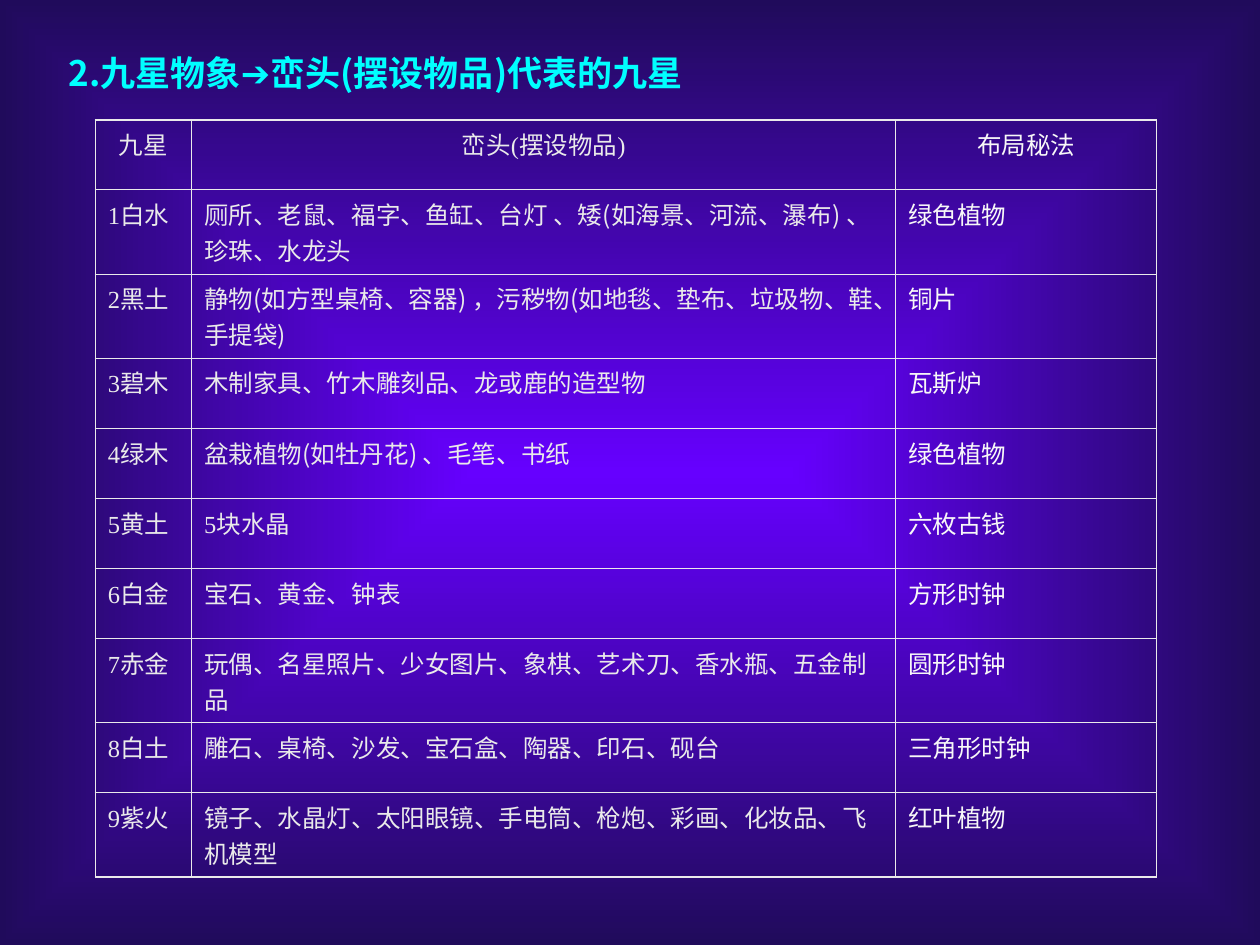
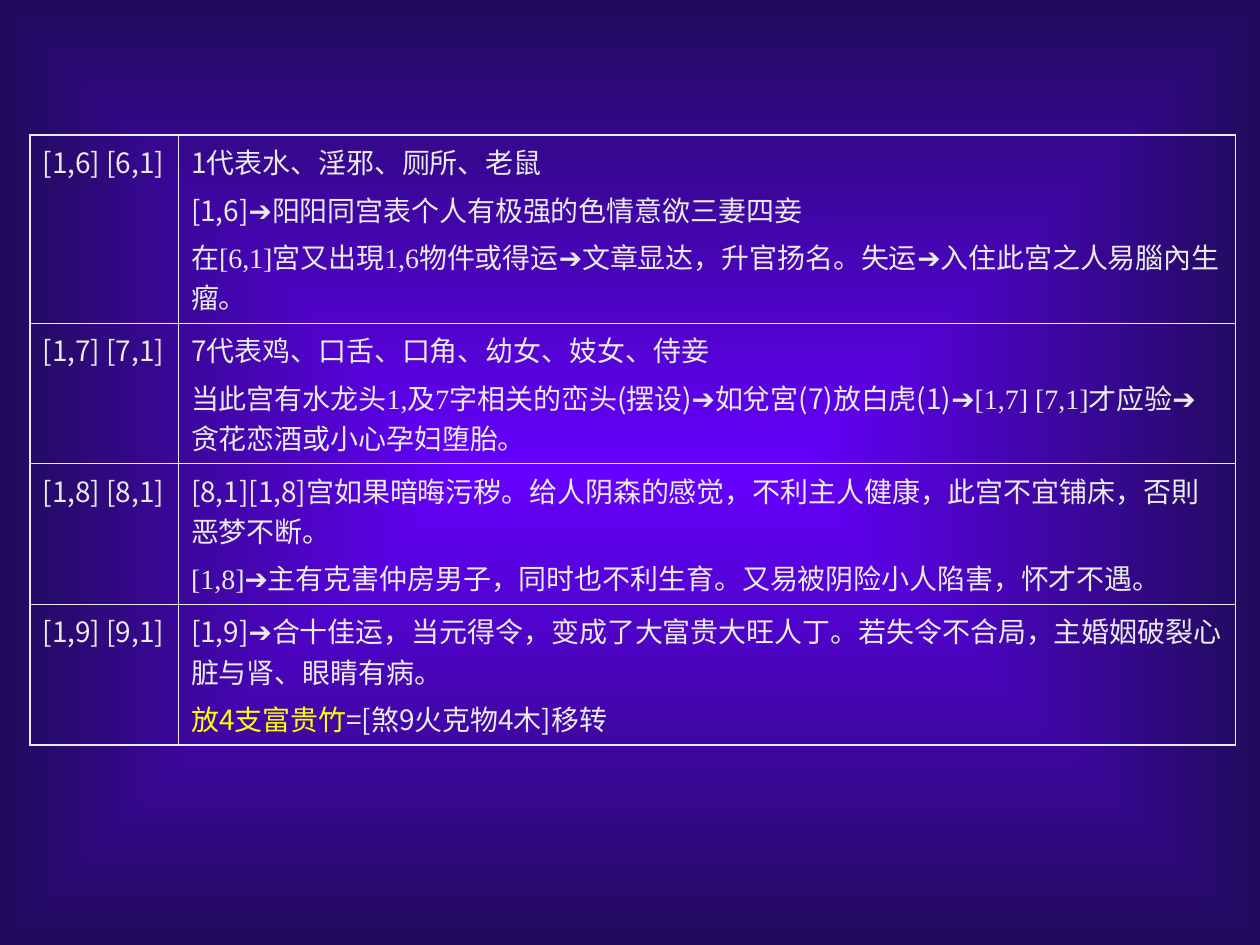
from dataclasses import dataclass

from lxml.etree import SubElement
from pptx import Presentation
from pptx.dml.color import RGBColor
from pptx.enum.text import MSO_ANCHOR, MSO_AUTO_SIZE, PP_ALIGN
from pptx.oxml import parse_xml
from pptx.oxml.ns import nsdecls, qn
from pptx.util import Pt


@dataclass(frozen=True)
class Theme:
    """Colours, fonts, type sizes and line widths of the deck."""
    glow: str = "6600FF"
    edge: str = "200B5B"
    text: str = "EAEAEA"
    bright: str = "F8F8F8"
    title: str = "00FFFF"
    accent: str = "FFFF00"
    sans: str = "Noto Sans CJK SC"
    serif: str = "Times New Roman"
    symbol: str = "Arial"
    title_size: float = 20
    star_size: float = 14
    pair_size: float = 16
    outer_line: float = 1.08
    inner_line: float = 0.45


@dataclass(frozen=True)
class Style:
    """Font, colour and weight of a run."""
    font: str
    color: str
    bold: bool = False


T = Theme()
SANS = Style(T.sans, T.text)
SERIF = Style(T.serif, T.text)
BRIGHT = Style(T.serif, T.bright)
ACCENT = Style(T.sans, T.accent)
TITLE = Style(T.sans, T.title, True)
ARROW = (Style(T.symbol, T.text), "➔")
COMMA = (SERIF, "、")

TITLE_RUNS = [
    (TITLE, "2.九星物象"),
    (Style(T.symbol, T.title, True), "➔"),
    (TITLE, "峦头(摆设物品)代表的九星"),
]

STAR_HEADER = ("九星", SERIF, "峦头(摆设物品)", "布局秘法")
STARS = [
    ("1白水", SANS, "厕所、老鼠、福字、鱼缸、台灯 、矮(如海景、河流、瀑布) 、珍珠、水龙头", "绿色植物"),
    ("2黑土", SANS, "静物(如方型桌椅、容器) ，污秽物(如地毯、垫布、垃圾物、鞋、手提袋)", "铜片"),
    ("3碧木", SERIF, "木制家具、竹木雕刻品、龙或鹿的造型物", "瓦斯炉"),
    ("4绿木", SANS, "盆栽植物(如牡丹花) 、毛笔、书纸", "绿色植物"),
    ("5黄土", SERIF, "5块水晶", "六枚古钱"),
    ("6白金", SERIF, "宝石、黄金、钟表", "方形时钟"),
    ("7赤金", SERIF, "玩偶、名星照片、少女图片、象棋、艺术刀、香水瓶、五金制品", "圆形时钟"),
    ("8白土", SERIF, "雕石、桌椅、沙发、宝石盒、陶器、印石、砚台", "三角形时钟"),
    ("9紫火", SERIF, "镜子、水晶灯、太阳眼镜、手电筒、枪炮、彩画、化妆品、飞机模型", "红叶植物"),
]

PAIRS = [
    ("[1,6] [6,1]", [
        [(SANS, "1代表水"), COMMA, (SANS, "淫邪"), (SERIF, "、厕所、老鼠")],
        [(SANS, "[1,6]"), ARROW, (SANS, "阳阳同宫表个人有极强的色情意欲三妻四妾")],
        [(SERIF, "在[6,1]宮又出現1,6物件或得运"), ARROW,
         (SERIF, "文章显达，升官扬名。失运"), ARROW,
         (SERIF, "入住此宮之人易腦內生瘤。")],
    ]),
    ("[1,7] [7,1]", [
        [(SANS, "7代表鸡"), COMMA, (SANS, "口舌"), COMMA, (SANS, "口角"), COMMA,
         (SANS, "幼女"), COMMA, (SANS, "妓女"), COMMA, (SANS, "侍妾")],
        [(SERIF, "当此宫有水龙头1,及7字相关的"), (SANS, "峦头(摆设)"), ARROW,
         (SANS, "如兌宮(7)放白虎(1)"), ARROW, (SERIF, "[1,7] [7,1]才应验"), ARROW,
         (SERIF, "贪花恋酒或小心孕妇堕胎。")],
    ]),
    ("[1,8] [8,1]", [
        [(SANS, "[8,1][1,8]宫如果暗晦污秽。给人阴森的感觉，不利主人健康，"
                "此宫不宜铺床，否則恶梦不断。")],
        [(SERIF, "[1,8]"), ARROW,
         (SERIF, "主有克害仲房男子，同时也不利生育。又易被阴险小人陷害，怀才不遇。")],
    ]),
    ("[1,9] [9,1]", [
        [(SANS, "[1,9]"), ARROW,
         (SANS, "合十佳运，当元得令，变成了大富贵大旺人丁。若失令不合局，"
                "主婚姻破裂心脏与肾、眼睛有病。")],
        [(ACCENT, "放4支富贵竹"), (SANS, "=[煞9火克物4木]移转")],
    ]),
]


def set_background(master):
    """Give the master a rectangular glow that all slides inherit."""
    master.background.fill.background()
    old = master.element.find(".//" + qn("p:bgPr"))[0]
    old.getparent().replace(old, parse_xml(
        f'<a:gradFill {nsdecls("a")} rotWithShape="0"><a:gsLst>'
        f'<a:gs pos="0"><a:srgbClr val="{T.glow}"/></a:gs>'
        f'<a:gs pos="100000"><a:srgbClr val="{T.edge}"/></a:gs></a:gsLst>'
        '<a:path path="rect"><a:fillToRect l="50000" t="50000" r="50000" b="50000"/>'
        '</a:path></a:gradFill>'))


def write_runs(p, runs, size):
    """Add styled runs to a paragraph."""
    for style, text in runs:
        r = p.add_run()
        r.text = text
        r.font.size = Pt(size)
        r.font.bold = style.bold
        r.font.name = style.font
        r.font.color.rgb = RGBColor.from_string(style.color)
        rpr = r.font.color and r.element.rPr if hasattr(r, "element") else r._r.rPr
        rpr.set("lang", "zh-CN")
        SubElement(rpr, qn("a:ea")).set("typeface", T.sans)


def write_cell(cell, paragraphs, size, align):
    """Fill a cell with paragraphs of runs."""
    tf = cell.text_frame
    for i, runs in enumerate(paragraphs):
        p = tf.add_paragraph() if i else tf.paragraphs[0]
        p.alignment = align
        p.space_before = Pt(size / 4)
        write_runs(p, runs, size)


def set_borders(cell, outer):
    """Draw the four cell borders, heavier on the sides named in outer."""
    tcpr = cell._tc.get_or_add_tcPr()
    for side in "LRTB":
        width = Pt(T.outer_line if side in outer else T.inner_line)
        ln = SubElement(tcpr, qn(f"a:ln{side}"), w=str(int(width)))
        fill = SubElement(ln, qn("a:solidFill"))
        SubElement(fill, qn("a:srgbClr"), val=T.text)


def add_grid(s, left, top, widths, heights, rows, size, header=False):
    """Add an unfilled, ruled table whose cells hold paragraphs of runs."""
    table = s.shapes.add_table(len(rows), len(widths), Pt(left), Pt(top),
                               Pt(sum(widths)), Pt(sum(heights))).table
    table.first_row = table.horz_banding = False
    for column, width in zip(table.columns, widths):
        column.width = Pt(width)
    for i, (row, height) in enumerate(zip(rows, heights)):
        table.rows[i].height = Pt(height)
        align = PP_ALIGN.CENTER if header and i == 0 else PP_ALIGN.LEFT
        for j, paragraphs in enumerate(row):
            cell = table.cell(i, j)
            edges = {"L": j == 0, "R": j == len(widths) - 1,
                     "T": i == 0, "B": i == len(rows) - 1}
            set_borders(cell, [side for side, on in edges.items() if on])
            cell.fill.background()
            write_cell(cell, paragraphs, size, align)


def add_title(s, runs):
    """Place the slide title at the upper left."""
    title = s.shapes.title
    title.left, title.top, title.width, title.height = Pt(32), Pt(26), Pt(391), Pt(32)
    tf = title.text_frame
    tf.word_wrap = False
    tf.auto_size = MSO_AUTO_SIZE.NONE
    tf.vertical_anchor = MSO_ANCHOR.TOP
    tf.paragraphs[0].alignment = PP_ALIGN.LEFT
    write_runs(tf.paragraphs[0], runs, T.title_size)


def main():
    """Build the two slides and save them."""
    prs = Presentation()
    prs.slide_width, prs.slide_height = Pt(720), Pt(540)
    set_background(prs.slide_master)

    s = prs.slides.add_slide(prs.slide_layouts[5])
    add_title(s, TITLE_RUNS)
    rows = [([[(SERIF, star)]], [[(style, items)]], [[(BRIGHT, remedy)]])
            for star, style, items, remedy in [STAR_HEADER, *STARS]]
    add_grid(s, 54.5, 68.4, [55, 402.4, 149], [40.1] * len(rows), rows,
             T.star_size, header=True)

    s = prs.slides.add_slide(prs.slide_layouts[6])
    rows = [([[(SANS, pair)]], meaning) for pair, meaning in PAIRS]
    add_grid(s, 17.2, 77.2, [84.8, 604], [92.2, 69, 69, 69], rows, T.pair_size)

    prs.save("out.pptx")


if __name__ == "__main__":
    main()
